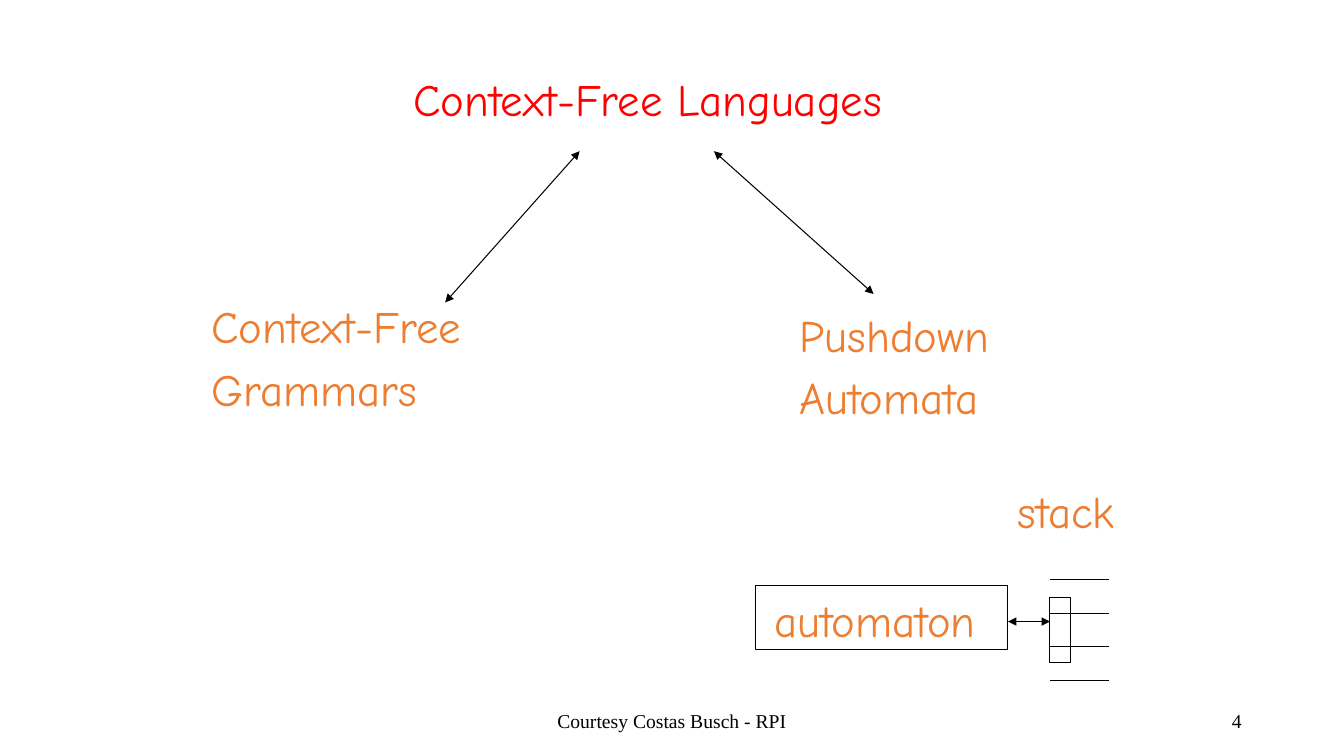
"""Builds a slide linking context-free languages to grammars and automata."""
import pptx
import pptx.dml.color
import pptx.enum.shapes
import pptx.enum.text
import pptx.oxml.ns
import pptx.util
import lxml.etree

Pt = pptx.util.Pt
ALIGN = pptx.enum.text.PP_ALIGN
ANCHOR = pptx.enum.text.MSO_ANCHOR
BLACK, RED, ORANGE = "000000", "FF0000", "ED7D31"

LABELS = [
    ("Context-Free Languages", (288, 48, 377.3, 45.4), RED),
    ("Pushdown\nAutomata", (564, 216, 160.6, 92.9), ORANGE),
    ("Context-Free\nGrammars", (144, 210, 218.9, 92.9), ORANGE),
    ("stack", (720, 342, 95, 45.4), ORANGE),
    ("automaton", (546, 420, 169.2, 45.4), ORANGE),
]
FOOTER = [
    ("Courtesy Costas Busch - RPI", (318, 500.5, 324, 28.75), ALIGN.CENTER),
    ("4", (678, 500.5, 216, 28.75), ALIGN.RIGHT),
]
ARROWS = [
    (414, 108, 318, 216),
    (510, 108, 624, 210),
    (720, 444, 750, 444),
]
BOXES = [(540, 418, 180, 46), (750, 427, 14.75, 46)]
STACK = dict(left=750, right=792, top=414, gap=24, count=4)


def color(code):
    return pptx.dml.color.RGBColor.from_string(code)


def write(text, box, size=32, font="Comic Neue", ink=ORANGE, align=ALIGN.LEFT,
          anchor=ANCHOR.TOP, wrap=False, before=0):
    frame = slide.shapes.add_textbox(*map(Pt, box)).text_frame
    frame.word_wrap = wrap
    frame.vertical_anchor = anchor
    for index, line in enumerate(text.split("\n")):
        para = frame.add_paragraph() if index else frame.paragraphs[0]
        para.alignment = align
        para.space_before = Pt(before)
        run = para.add_run()
        run.text = line
        run.font.size = Pt(size)
        run.font.name = font
        run.font.color.rgb = color(ink)


def stroke(shape):
    shape.line.color.rgb = color(BLACK)
    shape.line.width = Pt(0.75)


def draw(ends, arrow=False):
    line = slide.shapes.add_connector(
        pptx.enum.shapes.MSO_CONNECTOR.STRAIGHT, *map(Pt, ends))
    stroke(line)
    qn = pptx.oxml.ns.qn
    props = line.element.spPr
    lxml.etree.SubElement(props, qn("a:effectLst"))
    if arrow:
        for tag in ("a:headEnd", "a:tailEnd"):
            lxml.etree.SubElement(props.find(qn("a:ln")), qn(tag), type="triangle")


def frame_box(box):
    shape = slide.shapes.add_shape(
        pptx.enum.shapes.MSO_SHAPE.RECTANGLE, *map(Pt, box))
    shape.shadow.inherit = False
    shape.fill.background()
    stroke(shape)


deck = pptx.Presentation()
deck.slide_width, deck.slide_height = Pt(960), Pt(540)
slide = deck.slides.add_slide(deck.slide_layouts[6])

for text, box, align in FOOTER:
    write(text, box, size=14, font="Times New Roman", ink=BLACK, align=align,
          anchor=ANCHOR.MIDDLE, wrap=True)
for box in BOXES:
    frame_box(box)
for step in range(STACK["count"]):
    level = STACK["top"] + step * STACK["gap"]
    draw((STACK["left"], level, STACK["right"], level))
for ends in ARROWS:
    draw(ends, arrow=True)
for text, box, ink in LABELS:
    write(text, box, ink=ink, before=6.4)

deck.save("out.pptx")
